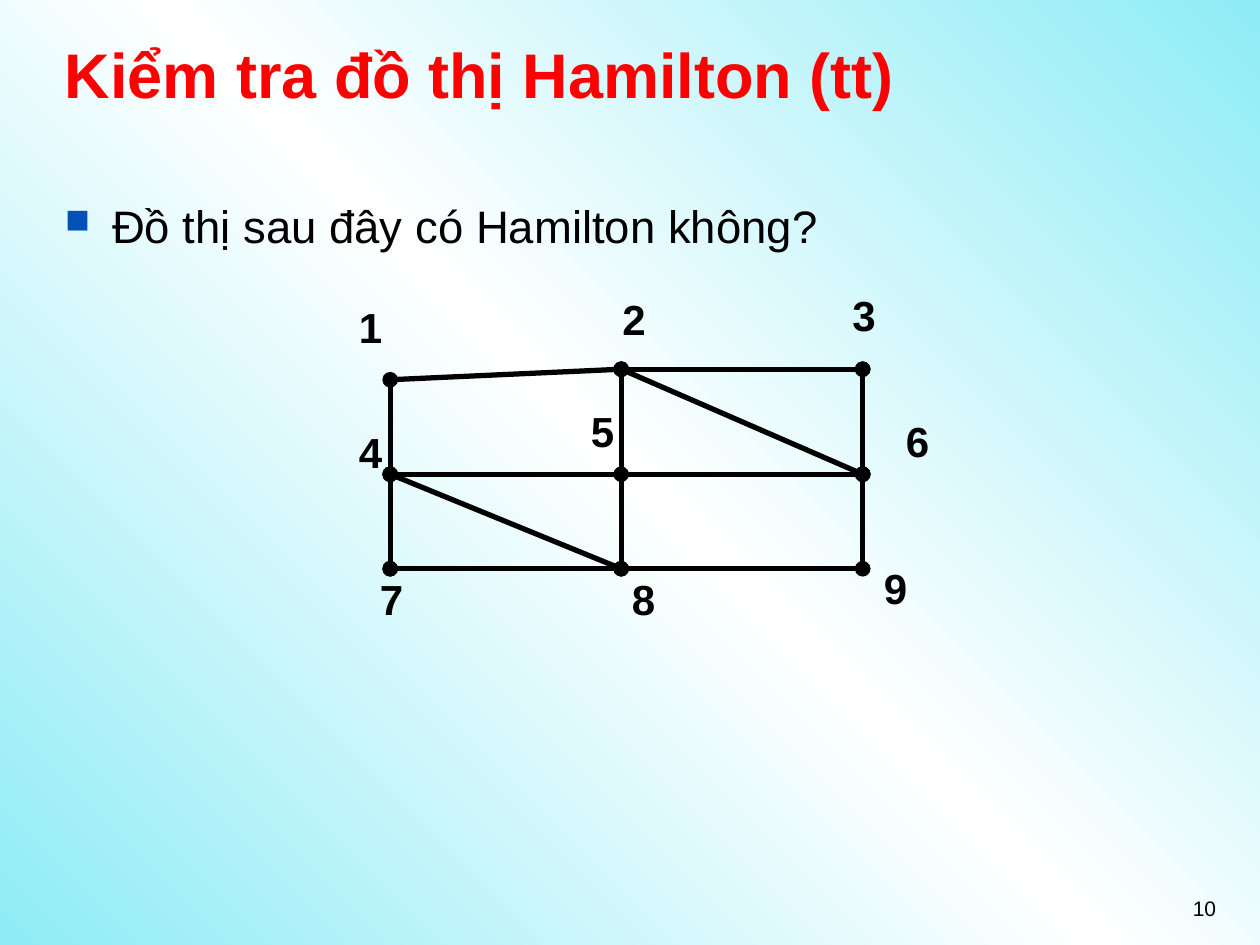
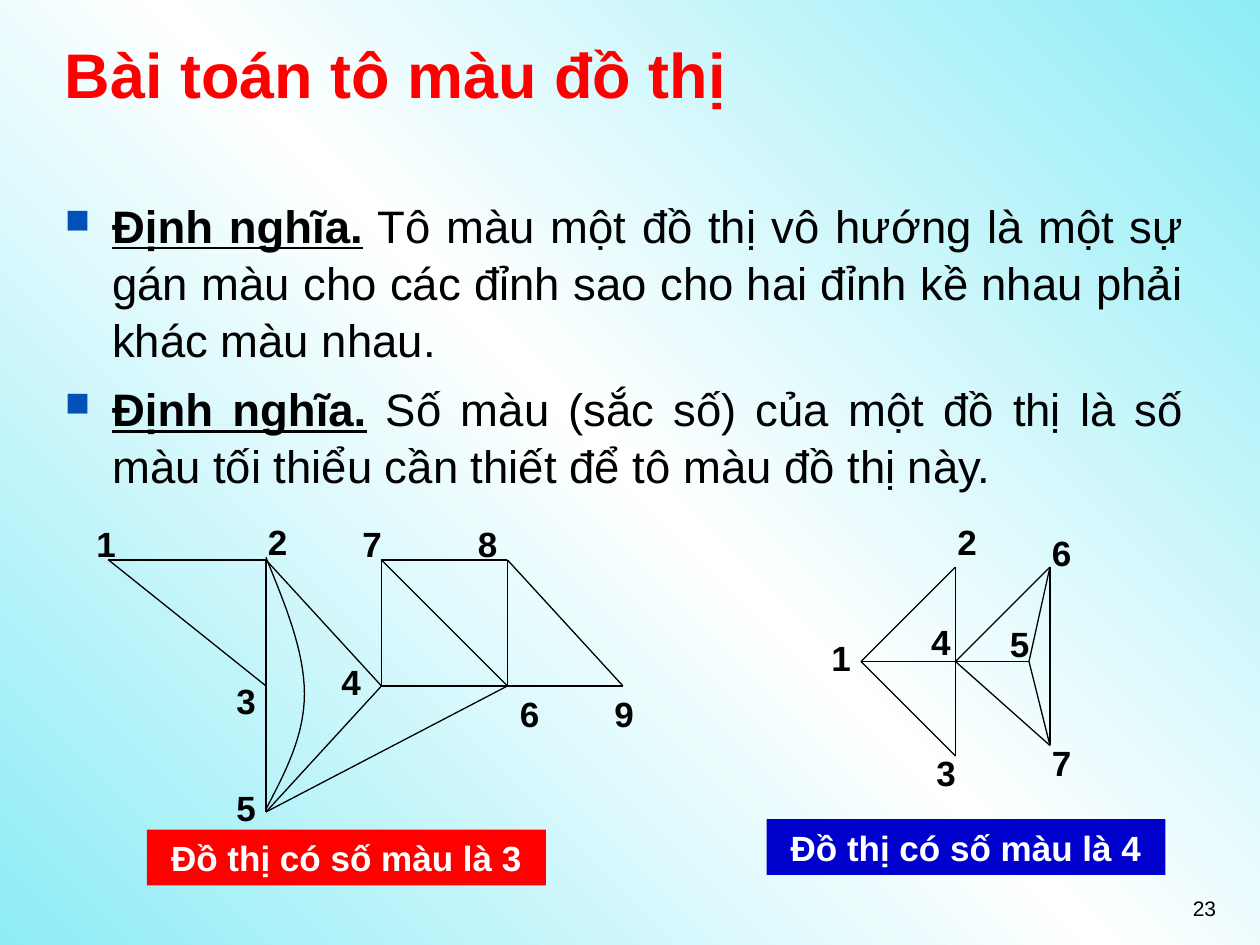
from copy import deepcopy
from dataclasses import dataclass

from pptx import Presentation
from pptx.dml.color import RGBColor as RGB
from pptx.enum.shapes import MSO_CONNECTOR as Link, MSO_SHAPE as Kind
from pptx.enum.text import MSO_ANCHOR as Anchor, PP_ALIGN as Align
from pptx.oxml.ns import qn
from pptx.oxml.xmlchemy import OxmlElement as Node
from pptx.util import Pt


# Shared look
@dataclass(frozen=True)
class Theme:
    font: str = "Arial"
    ink: str = "000000"
    red: str = "FF0000"
    blue: str = "0000CC"
    white: str = "FFFFFF"
    aqua: str = "8EECF6"
    mark: str = "0251B8"
    title: int = 36
    body: int = 26
    large: int = 24
    small: int = 20
    page: int = 12
    thick: float = 3
    thin: float = 0.75


T = Theme()

# Each vertex: x, y, then left and top of its label
GRID = {
    1: (223, 217, 198, 169), 2: (355, 211, 348.5, 164), 3: (493, 211, 480, 162),
    4: (223, 271, 198, 240), 5: (355, 271, 330.5, 228), 6: (493, 271, 510.5, 234),
    7: (223, 325, 210, 324), 8: (355, 325, 354, 324), 9: (493, 325, 498, 318),
}
THREE = {
    1: (62, 320, 48, 295), 2: (152, 320, 146, 294), 3: (152, 392, 128, 385),
    4: (218, 392, 188, 374), 5: (152, 464, 128, 446), 6: (290, 392, 290, 392),
    7: (218, 320, 200, 295), 8: (290, 320, 266, 295), 9: (356, 392, 344, 392),
}
FOUR = {
    1: (492, 378, 468, 360), 2: (546, 324, 540, 294), 3: (546, 432, 528, 426),
    4: (546, 378, 525, 351), 5: (588, 378, 570, 352), 6: (600, 324, 594, 300),
    7: (600, 426, 594, 420),
}
# Each edge: the two vertex numbers
GRID_DOTS = "23 14 45 36 47 78 69 28 26"
GRID_BARE = "56 89 48 12"
THREE_EDGES = "12 13 23 74 24 45 35 46 65 86 76 78 89 69"
FOUR_EDGES = "12 13 14 24 34 46 47 45 56 57 67"
# Control points of the bent edge from 2 to 5
BEND = (((152, 318.5), (163, 345.5), (174, 372), (174, 396.5)),
        ((174, 396.5), (174, 420.5), (163, 441.5), (152, 462.5)))


# Text
def add_run(par, text, size, color=T.ink, bold=False, line=False):
    run = par.add_run()
    run.text = text
    font = run.font
    font.name, font.size, font.bold = T.font, Pt(size), bold
    font.underline = line
    font.color.rgb = RGB.from_string(color)


def add_box(shapes, box, wrap=True):
    frame = shapes.add_textbox(*map(Pt, box)).text_frame
    frame.word_wrap = wrap
    return frame


def add_mark(par):
    props = par._p.get_or_add_pPr()
    props.set("marL", str(Pt(27)))
    props.set("indent", str(Pt(-27)))
    color, size, char = map(Node, ("a:buClr", "a:buSzPct", "a:buChar"))
    tint = Node("a:srgbClr")
    tint.set("val", T.mark)
    color.append(tint)
    size.set("val", "75000")
    char.set("char", "■")
    props.extend((color, size, char))


def add_list(slide, items):
    frame = add_box(slide.shapes, (30, 108, 654, 374))
    for i, (lead, text) in enumerate(items):
        par = frame.add_paragraph() if i else frame.paragraphs[0]
        par.alignment = Align.JUSTIFY
        par.line_spacing = 1.05
        par.space_before = Pt(6.5)
        add_mark(par)
        if lead:
            add_run(par, lead, T.body, bold=True, line=True)
        add_run(par, text, T.body)


# Graph parts
def add_edge(shapes, start, end, width, dots=False):
    edge = shapes.add_connector(Link.STRAIGHT, *map(Pt, start + end))
    edge.line.width = Pt(width)
    edge.line.color.rgb = RGB.from_string(T.ink)
    if dots:
        for tag in ("a:headEnd", "a:tailEnd"):
            tip = Node(tag)
            tip.set("type", "oval")
            edge.line._get_or_add_ln().append(tip)
    edge._element.spPr.append(Node("a:effectLst"))


def add_edges(shapes, graph, pairs, width, dots=False):
    for a, b in pairs.split():
        add_edge(shapes, graph[int(a)][:2], graph[int(b)][:2], width, dots)


def add_labels(shapes, graph, size, box):
    for name, (_, _, left, top) in graph.items():
        par = add_box(shapes, (left, top, *box), wrap=False).paragraphs[0]
        par.alignment = Align.CENTER
        add_run(par, str(name), size, bold=True)


def bend_at(curve, t):
    parts = ((1 - t) ** 3, 3 * t * (1 - t) ** 2, 3 * t * t * (1 - t), t ** 3)
    return tuple(Pt(sum(w * p[i] for w, p in zip(parts, curve))) for i in (0, 1))


def add_bend(shapes, curves, steps=16):
    path = shapes.build_freeform(*bend_at(curves[0], 0))
    path.add_line_segments(
        [bend_at(c, n / steps) for c in curves for n in range(1, steps + 1)],
        close=False)
    bend = path.convert_to_shape()
    bend.shadow.inherit = False
    bend.fill.background()
    bend.line.width = Pt(T.thin)
    bend.line.color.rgb = RGB.from_string(T.ink)


def add_graph(slide, graph, pairs):
    shapes = slide.shapes.add_group_shape().shapes
    add_edges(shapes, graph, pairs, T.thin)
    add_labels(shapes, graph, T.small, (24, 32))
    return shapes


def add_band(slide, left, top, text, color):
    band = slide.shapes.add_shape(Kind.RECTANGLE, *map(Pt, (left, top, 228, 32)))
    band.shadow.inherit = False
    band.fill.solid()
    band.fill.fore_color.rgb = RGB.from_string(color)
    band.line.fill.background()
    par = band.text_frame.paragraphs[0]
    par.alignment = Align.CENTER
    add_run(par, text, T.small, T.white, bold=True)


# Slide frame
def paint_back(master):
    fill = master.background.fill
    fill.gradient()
    fill.gradient_angle = 45
    stops = next(master.element.iter(qn("a:gsLst")))
    stops.insert(1, deepcopy(stops[0]))
    for stop, place, color in zip(fill.gradient_stops, (0, 0.5, 1),
                                  (T.aqua, T.white, T.aqua)):
        stop.position = place
        stop.color.rgb = RGB.from_string(color)


def add_slide(prs, title, page):
    slide = prs.slides.add_slide(prs.slide_layouts[6])
    head = add_box(slide.shapes, (30, 12, 654, 60))
    head.vertical_anchor = Anchor.MIDDLE
    add_run(head.paragraphs[0], title, T.title, T.red, bold=True)
    foot = add_box(slide.shapes, (534, 508, 168, 37)).paragraphs[0]
    foot.alignment = Align.RIGHT
    add_run(foot, str(page), T.page)
    return slide


def main():
    prs = Presentation()
    prs.slide_width, prs.slide_height = Pt(720), Pt(540)
    paint_back(prs.slide_master)

    # Hamilton check
    slide = add_slide(prs, "Kiểm tra đồ thị Hamilton (tt)", 10)
    add_list(slide, [("", "Đồ thị sau đây có Hamilton không?")])
    add_edges(slide.shapes, GRID, GRID_DOTS, T.thick, dots=True)
    add_edges(slide.shapes, GRID, GRID_BARE, T.thick)
    add_labels(slide.shapes, GRID, T.large, (27, 36))

    # Graph colouring
    slide = add_slide(prs, "Bài toán tô màu đồ thị", 23)
    add_list(slide, [
        ("Định nghĩa.", " Tô màu một đồ thị vô hướng là một sự gán màu cho các "
         "đỉnh sao cho hai đỉnh kề nhau phải khác màu nhau."),
        ("Định nghĩa.", " Số màu (sắc số) của một đồ thị là số màu tối thiểu "
         "cần thiết để tô màu đồ thị này."),
    ])
    add_bend(add_graph(slide, THREE, THREE_EDGES), BEND)
    add_graph(slide, FOUR, FOUR_EDGES)
    add_band(slide, 84, 474, "Đồ thị có số màu là 3", T.red)
    add_band(slide, 438, 468, "Đồ thị có số màu là 4", T.blue)

    prs.save("out.pptx")


if __name__ == "__main__":
    main()
